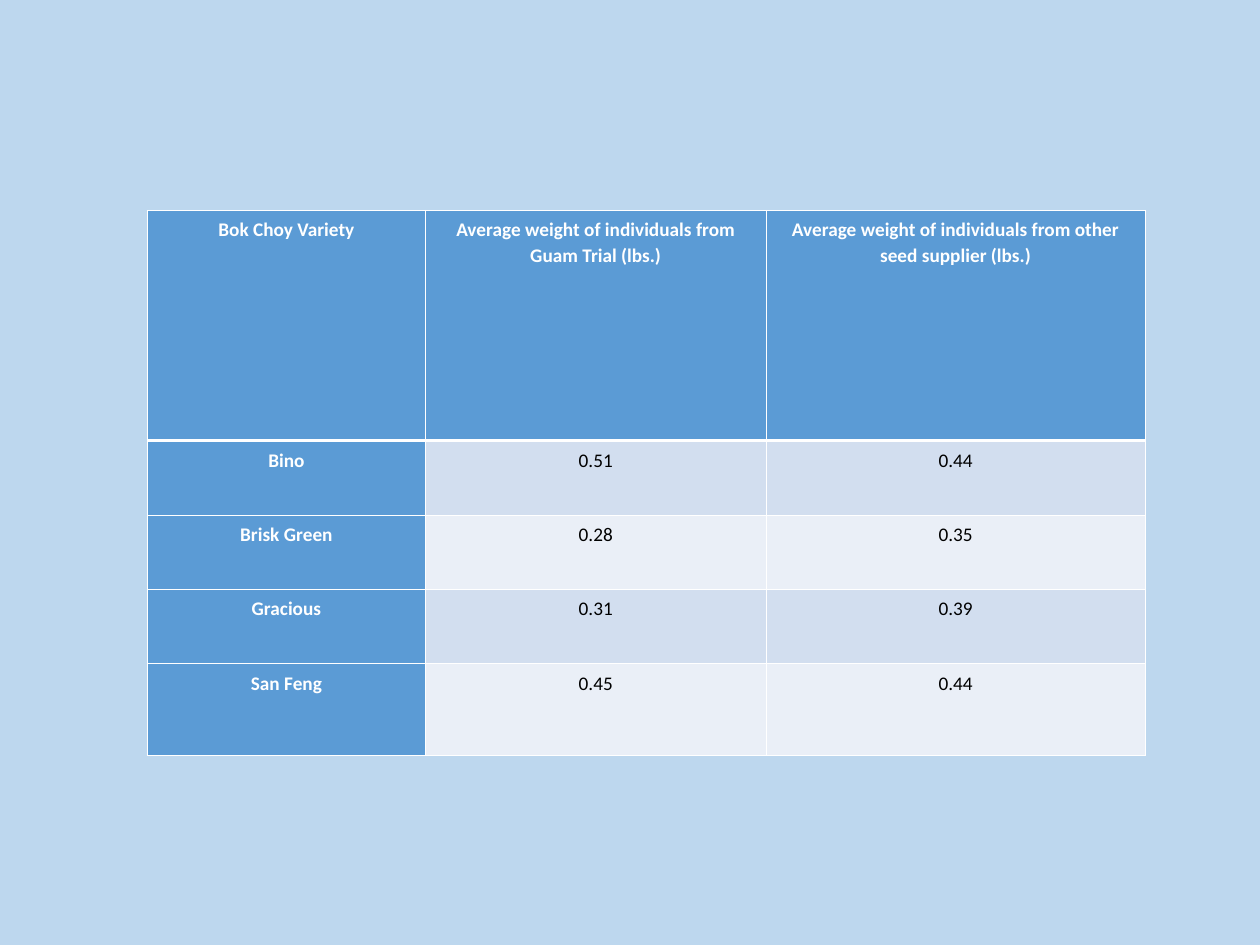
from typing import NamedTuple

from lxml.etree import SubElement
from pptx import Presentation
from pptx.dml.color import RGBColor
from pptx.enum.text import PP_ALIGN as Align
from pptx.oxml.ns import qn
from pptx.util import Cm, Pt

WHITE, BLACK, BLUE = "FFFFFF", "000000", "5B9BD5"
BANDS = ("D2DEEF", "EAEFF7")
THIN, THICK = 0.45, 1.47
COLUMN_WIDTHS = (5.61, 6.86, 7.65)
ROW_HEIGHTS = (4.64, 1.5, 1.5, 1.5, 1.85)


class Variety(NamedTuple):
    name: str
    guam: str
    supplier: str


HEADER = Variety(
    "Bok Choy Variety",
    "Average weight of individuals from Guam Trial (lbs.)",
    "Average weight of individuals from other seed supplier (lbs.)",
)
VARIETIES = (
    Variety("Bino", "0.51", "0.44"),
    Variety("Brisk Green", "0.28", "0.35"),
    Variety("Gracious", "0.31", "0.39"),
    Variety("San Feng", "0.45", "0.44"),
)


def rgb(color: str) -> RGBColor:
    return RGBColor.from_string(color)


def write(tf, text: str, *, size: float = 11, color: str = BLACK,
          bold: bool = False, font: str = "Calibri") -> None:
    p = tf.paragraphs[0]
    p.alignment = Align.CENTER
    p.line_spacing = 1.07
    r = p.add_run()
    r.text = text
    r.font.name, r.font.size, r.font.bold = font, Pt(size), bold
    r.font.color.rgb = rgb(color)


def set_borders(cell, **widths: float) -> None:
    """Draw white borders; sides come as L, R, T, B, before the cell's fill."""
    tc_pr = cell._tc.get_or_add_tcPr()
    for side, width in widths.items():
        ln = SubElement(tc_pr, qn(f"a:ln{side}"), w=str(int(Pt(width))))
        fill = SubElement(ln, qn("a:solidFill"))
        SubElement(fill, qn("a:srgbClr"), val=WHITE)


def draw_cell(cell, text: str, row: int, col: int) -> None:
    heading = row == 0 or col == 0
    set_borders(cell, L=THIN, R=THIN,
                T=THICK if row == 1 else THIN,
                B=THICK if row == 0 else THIN)
    cell.fill.solid()
    cell.fill.fore_color.rgb = rgb(BLUE if heading else BANDS[(row - 1) % 2])
    cell.margin_left = cell.margin_right = Cm(0.2)
    cell.margin_top = cell.margin_bottom = Cm(0.13)
    write(cell.text_frame, text, color=WHITE if heading else BLACK, bold=heading)


def draw_table(s, rows: tuple[Variety, ...], left: float, top: float) -> None:
    table = s.shapes.add_table(
        len(rows), len(COLUMN_WIDTHS), Cm(left), Cm(top),
        Cm(sum(COLUMN_WIDTHS)), Cm(sum(ROW_HEIGHTS))).table
    table.first_col = True
    for column, width in zip(table.columns, COLUMN_WIDTHS):
        column.width = Cm(width)
    for i, (variety, height) in enumerate(zip(rows, ROW_HEIGHTS)):
        table.rows[i].height = Cm(height)
        for j, text in enumerate(variety):
            draw_cell(table.cell(i, j), text, i, j)


def main() -> None:
    prs = Presentation()
    prs.slide_width, prs.slide_height = Cm(25.4), Cm(19.05)
    s = prs.slides.add_slide(prs.slide_layouts[6])
    s.background.fill.solid()
    s.background.fill.fore_color.rgb = rgb("BDD7EE")
    draw_table(s, (HEADER, *VARIETIES), left=2.97, top=4.24)
    prs.save("out.pptx")


if __name__ == "__main__":
    main()
